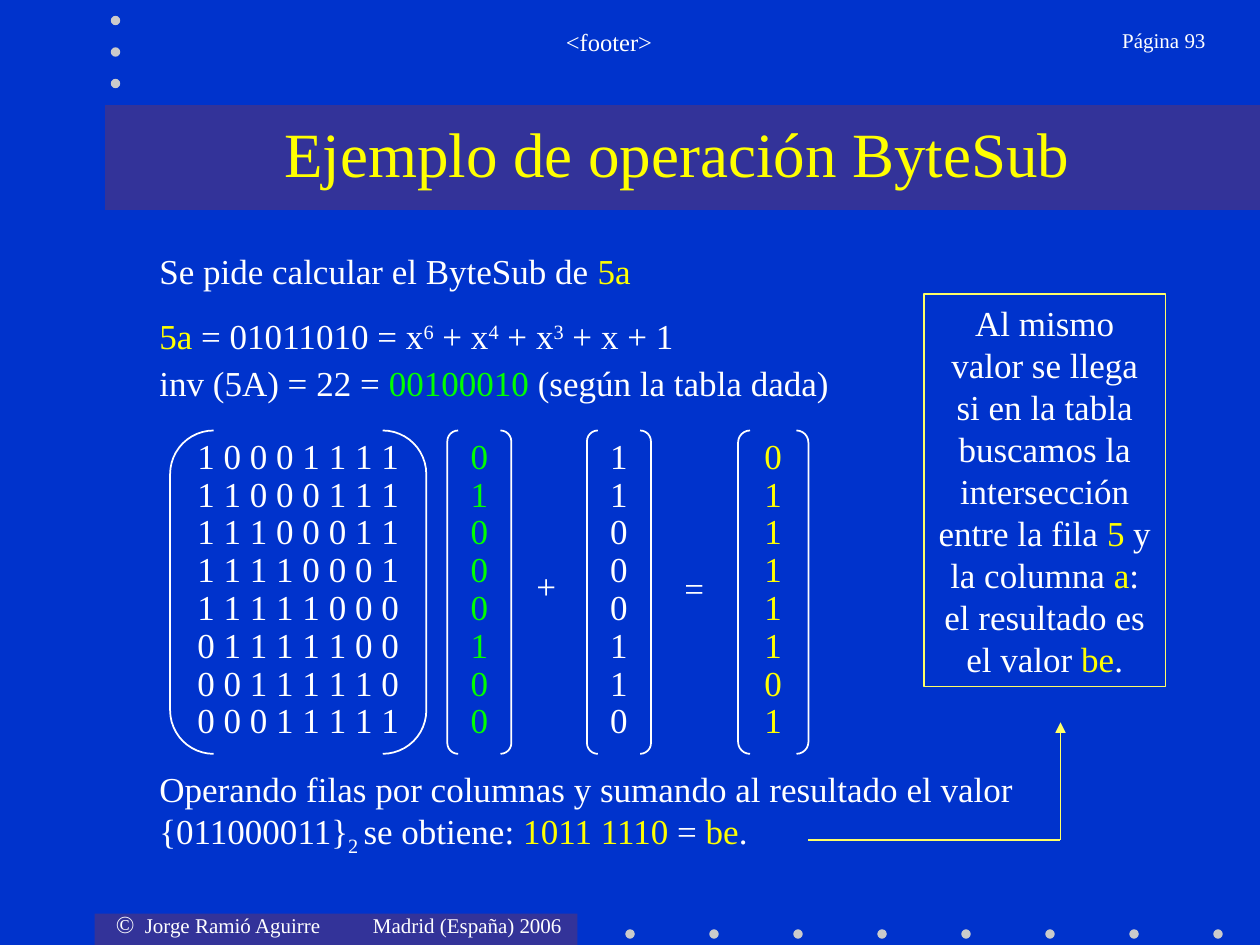
from lxml.etree import SubElement
from pptx import Presentation
from pptx.dml.color import RGBColor
from pptx.enum.shapes import MSO_CONNECTOR as Link, MSO_SHAPE as Shape
from pptx.enum.text import MSO_ANCHOR as Anchor, PP_ALIGN as Align
from pptx.oxml.ns import qn
from pptx.util import Inches, Pt

BLUE = RGBColor(0x00, 0x33, 0xCC)
NAVY = RGBColor(0x33, 0x33, 0x99)
GREY = RGBColor(0xCB, 0xCB, 0xCB)
WHITE = RGBColor(0xFF, 0xFF, 0xFF)
YELLOW = RGBColor(0xFF, 0xFF, 0x00)
LEMON = RGBColor(0xFF, 0xFF, 0x66)
GREEN = RGBColor(0x00, 0xFF, 0x00)
FONT = "Times New Roman"
COLS, ROWS = 120, 90


def write(frame, paras, size=20, color=WHITE, align=Align.LEFT, anchor=Anchor.TOP,
          wrap=True, pads=(0.05, 0.05), lead=None, gap=0, tabs=()):
    """Fill a frame with paragraphs of (text, colour, baseline, size) runs."""
    frame.word_wrap = wrap
    frame.vertical_anchor = anchor
    frame.margin_left = frame.margin_right = Inches(0.1)
    frame.margin_top, frame.margin_bottom = map(Inches, pads)
    for i, runs in enumerate(paras):
        para = frame.add_paragraph() if i else frame.paragraphs[0]
        para.alignment = align
        para.space_before = Pt(gap if i else 0)
        if lead:
            para.line_spacing = lead
        if tabs:
            stops = SubElement(para._p.get_or_add_pPr(), qn("a:tabLst"))
            for pos in tabs:
                SubElement(stops, qn("a:tab"), pos=str(Inches(pos)), algn="l")
        for item in [runs] if isinstance(runs, str) else runs:
            words, tint, base, points = (*item, None, None, None)[:4] if isinstance(item, tuple) else (item, None, None, None)
            run = para.add_run()
            run.text = words
            run.font.name = FONT
            run.font.size = Pt(points or size)
            run.font.color.rgb = tint or color
            if base:
                run._r.get_or_add_rPr().set("baseline", str(base * 1000))


class Deck:
    """Holds the style, the grid and the current slide."""

    def __init__(self):
        self.prs = Presentation()
        self.prs.slide_width, self.prs.slide_height = Inches(10), Inches(7.5)
        self.slide = self.prs.slides.add_slide(self.prs.slide_layouts[6])
        fill = self.slide.background.fill
        fill.solid()
        fill.fore_color.rgb = BLUE

    def grid(self, x, y):
        """Turn columns and rows into lengths."""
        return int(self.prs.slide_width * x / COLS), int(self.prs.slide_height * y / ROWS)

    def shape(self, kind, x, y, w, h, fill=None, line=None):
        """Add a preset shape."""
        item = self.slide.shapes.add_shape(kind, *self.grid(x, y), *self.grid(w, h))
        item.shadow.inherit = False
        if fill is None:
            item.fill.background()
        else:
            item.fill.solid()
            item.fill.fore_color.rgb = fill
        if line is None:
            item.line.fill.background()
        else:
            item.line.color.rgb = line
            item.line.width = Pt(1)
        return item

    def dots(self, x, y, dx, dy, count):
        """Add a row or column of dots."""
        for i in range(count):
            self.shape(Shape.OVAL, x + i * dx, y + i * dy, 0.9, 0.9, GREY)

    def text(self, x, y, w, h, *paras, **style):
        """Add a text box."""
        box = self.slide.shapes.add_textbox(*self.grid(x, y), *self.grid(w, h))
        write(box.text_frame, paras, **style)

    def matrix(self, x, w, lines, color=WHITE):
        """Add a bracketed matrix, one paragraph a row."""
        item = self.shape(Shape.DOUBLE_BRACKET, x, 41, w, 30.8, line=WHITE)
        item.adjustments[0] = 0.17
        write(item.text_frame, lines, color=color, align=Align.CENTER,
              anchor=Anchor.MIDDLE, wrap=False, pads=(0.05, 0.08), lead=0.9)

    def line(self, x1, y1, x2, y2, arrow=False):
        """Add a straight line."""
        item = self.slide.shapes.add_connector(
            Link.STRAIGHT, *self.grid(x1, y1), *self.grid(x2, y2))
        item.line.color.rgb = LEMON
        item.line.width = Pt(1)
        SubElement(item._element.spPr, qn("a:effectLst"))
        if arrow:
            SubElement(item.line._get_or_add_ln(), qn("a:tailEnd"), type="triangle")


def main():
    """Build the slide."""
    deck = Deck()
    deck.shape(Shape.RECTANGLE, 9, 87, 46, 3, NAVY)
    deck.dots(59.55, 88.5, 8, 0, 8)
    deck.shape(Shape.RECTANGLE, 10, 10, 110, 10, NAVY)
    deck.dots(10.55, 1.5, 0, 3, 3)

    deck.text(9.85, 86, 45, 4,
              [("©", WHITE, 0, 14), "\tJorge Ramió Aguirre\tMadrid (España) 2006"],
              size=12, tabs=(0.23, 2.04))
    deck.text(19, 2, 78, 6, "<footer>", size=14, align=Align.CENTER)
    deck.text(99.6, 2, 16.4, 6, "Página 93", size=12, align=Align.RIGHT)
    deck.text(11, 10, 107, 9, "Ejemplo de operación ByteSub", size=36,
              color=YELLOW, align=Align.CENTER, anchor=Anchor.MIDDLE)

    deck.text(14, 23.2, 50, 5.2,
              ["Se pide calcular el ByteSub de ", ("5a", YELLOW)], anchor=Anchor.MIDDLE)
    deck.text(14, 29.4, 67, 9.6,
              [("5a", YELLOW), " = 01011010 = x", ("6", WHITE, 30), " + x",
               ("4", WHITE, 30), " + x", ("3", WHITE, 30), " + x + 1"],
              ["inv (5A) = 22 = ", ("00100010", GREEN), " (según la tabla dada)"],
              anchor=Anchor.MIDDLE, gap=2.5)

    seed = "10001111"
    turns = [" ".join(seed[-i:] + seed[:-i] if i else seed) for i in range(8)]
    deck.matrix(16.2, 24.4, turns)
    deck.matrix(42.6, 6.1, "01000100", GREEN)
    deck.matrix(55.9, 6.1, "11000110")
    deck.matrix(70.3, 6.7, "01111101", YELLOW)
    for sign, x, y in (("+", 49.9, 53.6), ("=", 64, 53.8)):
        deck.text(x, y, 4.3, 5.2, sign, pads=(0.05, 0.08), lead=0.9)

    deck.text(14, 72.5, 84, 9.8,
              ["Operando filas por columnas y sumando al resultado el valor {011000011}",
               ("2 ", WHITE, -25), "se obtiene: ", ("1011 1110", YELLOW), " = ",
               ("be", YELLOW), "."], anchor=Anchor.MIDDLE)

    note = deck.shape(Shape.RECTANGLE, 88, 28, 23, 37.4, line=LEMON)
    write(note.text_frame, [[
        "Al mismo valor se llega si en la tabla buscamos la intersección entre la fila ",
        ("5", YELLOW), " y la columna ", ("a", YELLOW), ": el resultado es el valor ",
        ("be", YELLOW), "."]], align=Align.CENTER, pads=(0.06, 0.06))
    deck.line(77, 80, 101, 80)
    deck.line(101, 80, 101, 68.8, arrow=True)
    deck.prs.save("out.pptx")


if __name__ == "__main__":
    main()
